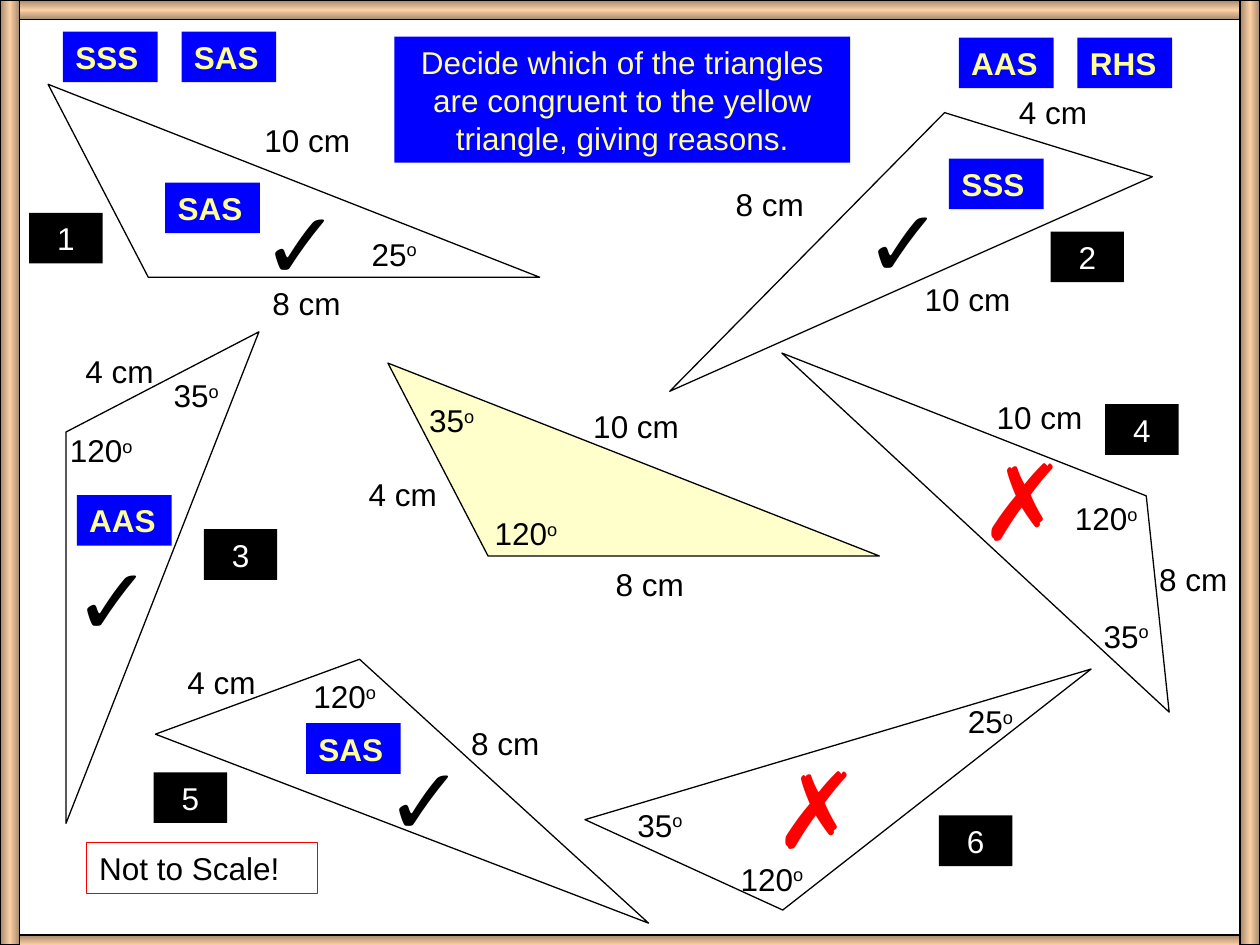
from copy import deepcopy

from pptx import Presentation
from pptx.dml.color import RGBColor
from pptx.enum.shapes import MSO_SHAPE
from pptx.enum.text import MSO_ANCHOR, MSO_AUTO_SIZE, PP_ALIGN
from pptx.oxml.ns import qn
from pptx.util import Cm, Pt

RECT = MSO_SHAPE.RECTANGLE
TOP = MSO_ANCHOR.TOP
GROW, FIXED = MSO_AUTO_SIZE.SHAPE_TO_FIT_TEXT, MSO_AUTO_SIZE.NONE
LEFT, CENTER = PP_ALIGN.LEFT, PP_ALIGN.CENTER

BLACK = RGBColor(0x00, 0x00, 0x00)
WHITE = RGBColor(0xFF, 0xFF, 0xFF)
RED = RGBColor(0xFF, 0x00, 0x00)
BLUE = RGBColor(0x00, 0x00, 0xFF)
PALE_YELLOW = RGBColor(0xFF, 0xFF, 0x99)
CREAM = RGBColor(0xFF, 0xFF, 0xCC)
WOOD_DARK = RGBColor(0xA5, 0x88, 0x6C)
WOOD_LIGHT = RGBColor(0xFA, 0xCF, 0xA4)

FONT = "Arial"
SLIDE_W, SLIDE_H = 25.4, 19.05
TRI_W, TRI_H, TRI_CORNER = 9.91, 3.89, 2.02
LINE_H = 1.02
FRAME = 0.4
TAG_W, NUMBER_W = 1.91, 1.48
MARKS = {"✓": (2.49, 2.54, 54, BLACK), "✗": (2.16, 2.79, 60, RED)}

YELLOW_TRIANGLE = dict(
    x=7.82, y=7.32, fill=CREAM,
    labels=[("35o", 0.58, 0.64, 1.75), ("120o", 1.9, 2.92, 1.88),
            ("8 cm", 4.34, 3.94, 2.21), ("10 cm", 3.89, 0.76, 3.02),
            ("4 cm", -0.64, 2.13, 2.21)])

QUESTIONS = [
    dict(x=0.97, y=1.7, number=("1", -0.38, 2.59),
         labels=[("8 cm", 4.27, 3.89, 2.21), ("10 cm", 4.11, 0.61, 2.39),
                 ("25o", 6.27, 2.9, 1.75)],
         mark=("✓", 4.06, 1.9), reason=("SAS", 2.36, 1.98)),
    dict(x=13.41, y=3.78, rotation=134.6, number=("2", 7.77, 0.89),
         labels=[("10 cm", 4.98, 1.73, 3.02), ("8 cm", 1.17, -0.18, 2.21),
                 ("4 cm", 6.88, -2.03, 2.21)],
         mark=("✓", 3.76, -0.23), reason=("SSS", 5.72, -0.58)),
    dict(x=-1.68, y=9.7, rotation=90, number=("3", 5.79, 0.97),
         labels=[("4 cm", 3.15, -2.74, 2.21), ("35o", 4.93, -2.24, 1.75),
                 ("120o", 2.84, -1.14, 1.88)],
         mark=("✓", 2.92, 1.07), reason=("AAS", 3.23, 0.28)),
    dict(x=14.71, y=8.79, rotation=201.4, number=("4", 7.57, -0.64),
         labels=[("10 cm", 5.13, -0.89, 2.46), ("120o", 6.71, 1.14, 1.88),
                 ("8 cm", 8.41, 2.36, 2.21), ("35o", 7.29, 3.51, 1.75)],
         mark=("✗", 4.78, -0.15)),
    dict(x=3.15, y=14.76, rotation=42.4, mirrored=True, number=("5", -0.05, 0.81),
         labels=[("8 cm", 6.1, -0.3, 2.21), ("120o", 2.92, -1.24, 1.88),
                 ("4 cm", 0.38, -1.52, 2.21)],
         mark=("✓", 4.37, 0.05), reason=("SAS", 3.02, -0.18)),
    dict(x=11.94, y=13.06, rotation=322, number=("6", 6.99, 3.38),
         labels=[("35o", 0.66, 3.05, 1.75), ("120o", 2.74, 4.14, 1.88),
                 ("25o", 7.32, 0.97, 1.75)],
         mark=("✗", 3.4, 1.8)),
]


def format_text(sp, color, size=18, bold=False, align=LEFT, fit=GROW):
    tf = sp.text_frame
    tf.word_wrap = True
    tf.auto_size = fit
    tf.vertical_anchor = TOP
    tf.margin_left = tf.margin_right = Cm(0.25)
    tf.margin_top = tf.margin_bottom = Cm(0.13)
    p = tf.paragraphs[0]
    p.alignment = align
    for r in p.runs:
        r.font.name = FONT
        r.font.size = Pt(size)
        r.font.bold = bold
        r.font.color.rgb = color


def add_label(s, text, x, y, w, h=LINE_H, color=BLACK, size=18):
    sp = s.shapes.add_textbox(Cm(x), Cm(y), Cm(w), Cm(h))
    p = sp.text_frame.paragraphs[0]
    if text.endswith("o"):
        p.add_run().text = text[:-1]
        degree = p.add_run()
        degree.text = "o"
        degree._r.get_or_add_rPr().set("baseline", "30000")
    else:
        p.text = text
    format_text(sp, color, size)


def set_outline(sp, fill=None, line=None):
    sp.shadow.inherit = False
    if fill is None:
        sp.fill.background()
    else:
        sp.fill.solid()
        sp.fill.fore_color.rgb = fill
    if line is None:
        sp.line.fill.background()
    else:
        sp.line.color.rgb = line
        sp.line.width = Pt(0.75)


def add_box(s, text, x, y, w, color, fill=None, line=None, bold=False, align=LEFT):
    sp = s.shapes.add_shape(RECT, Cm(x), Cm(y), Cm(w), Cm(LINE_H))
    set_outline(sp, fill, line)
    sp.text_frame.text = text
    format_text(sp, color, bold=bold, align=align)


def add_reason(s, text, x, y):
    add_box(s, text, x, y, TAG_W, PALE_YELLOW, fill=BLUE, bold=True)


def add_triangle(s, x, y, labels, rotation=0, mirrored=False, fill=None,
                 number=None, mark=None, reason=None):
    base, apex = (y, y + TRI_H) if mirrored else (y + TRI_H, y)
    builder = s.shapes.build_freeform(Cm(x + TRI_CORNER), Cm(base))
    builder.add_line_segments([(Cm(x + TRI_W), Cm(base)), (Cm(x), Cm(apex))], close=True)
    sp = builder.convert_to_shape()
    sp.rotation = rotation
    set_outline(sp, fill, BLACK)
    for text, dx, dy, w in labels:
        add_label(s, text, x + dx, y + dy, w)
    if number:
        text, dx, dy = number
        add_box(s, text, x + dx, y + dy, NUMBER_W, WHITE, fill=BLACK, align=CENTER)
    if mark:
        text, dx, dy = mark
        w, h, size, color = MARKS[text]
        add_label(s, text, x + dx, y + dy, w, h, color, size)
    if reason:
        text, dx, dy = reason
        add_reason(s, text, x + dx, y + dy)


def add_frame_bar(s, x, y, w, h):
    sp = s.shapes.add_shape(RECT, Cm(x), Cm(y), Cm(w), Cm(h))
    set_outline(sp, line=BLACK)
    sp.fill.gradient()
    sp.fill.gradient_angle = 90 if w > h else 0
    stops = sp._element.spPr.find(qn("a:gradFill")).find(qn("a:gsLst"))
    stops.insert(1, deepcopy(stops[0]))
    shades = [(0, WOOD_DARK), (0.5, WOOD_LIGHT), (1, WOOD_DARK)]
    for stop, (position, color) in zip(sp.fill.gradient_stops, shades):
        stop.position = position
        stop.color.rgb = color


def add_frame(s, x, y, w, h):
    for top in (y, y + h - FRAME / 2):
        add_frame_bar(s, x, top, w, FRAME)
    for left in (x, x + w - FRAME):
        add_frame_bar(s, left, y, FRAME, h)


def add_title(s, x, y, w, h):
    sp = s.shapes.title
    sp.left, sp.top, sp.width, sp.height = Cm(x), Cm(y), Cm(w), Cm(h)
    sp.fill.solid()
    sp.fill.fore_color.rgb = BLUE
    sp.text_frame.text = ("Decide which of the triangles are congruent "
                          "to the yellow triangle, giving reasons.")
    format_text(sp, PALE_YELLOW, align=CENTER, fit=FIXED)


def add_reason_pair(s, x, y, names):
    for i, name in enumerate(names):
        add_reason(s, name, x + i * 2.39, y)


def main():
    prs = Presentation()
    prs.slide_width, prs.slide_height = Cm(SLIDE_W), Cm(SLIDE_H)
    s = prs.slides.add_slide(prs.slide_layouts[5])
    add_title(s, 7.95, 0.74, 9.19, 2.54)
    add_triangle(s, **YELLOW_TRIANGLE)
    for question in QUESTIONS:
        add_triangle(s, **question)
    add_frame(s, 0, 0, SLIDE_W, SLIDE_H)
    add_box(s, "Not to Scale!", 1.75, 16.99, 4.65, BLACK, line=RED)
    add_reason_pair(s, 1.27, 0.64, ["SSS", "SAS"])
    add_reason_pair(s, 19.33, 0.76, ["AAS", "RHS"])
    prs.save("out.pptx")


if __name__ == "__main__":
    main()
